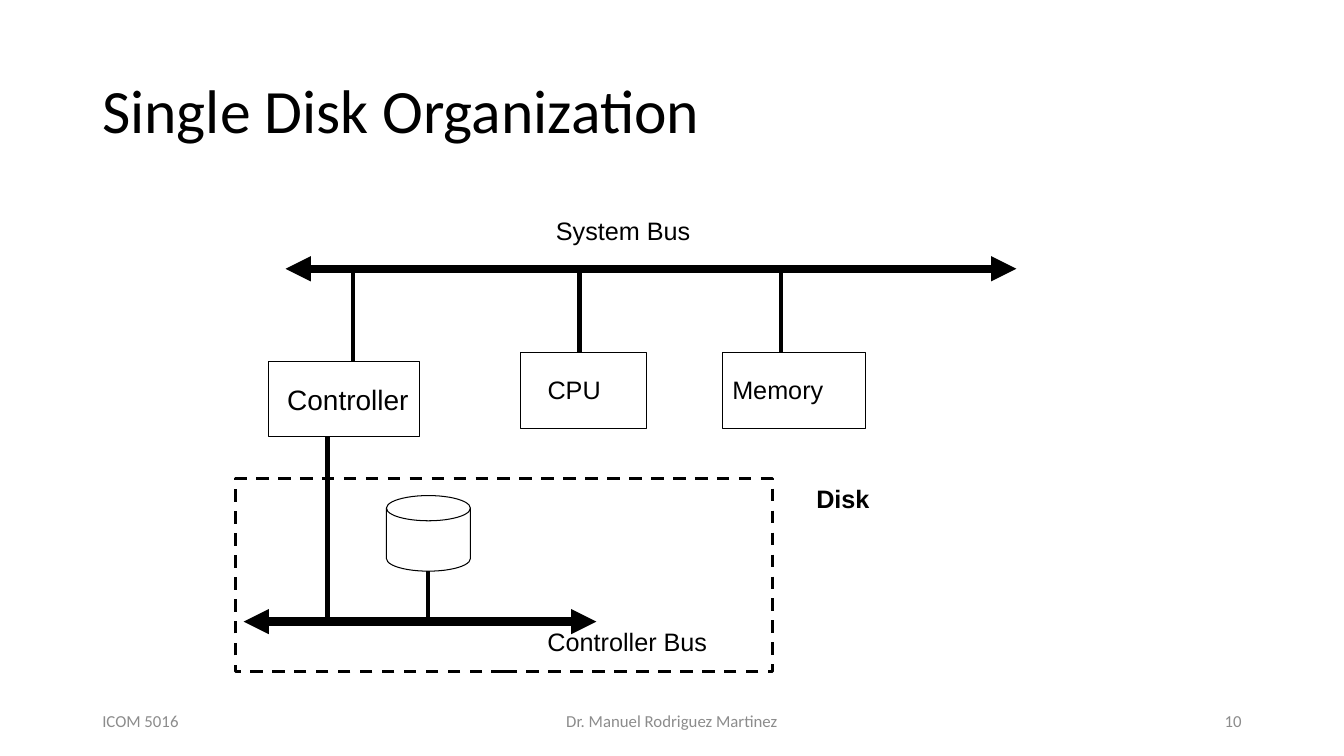
from dataclasses import dataclass

from lxml.etree import SubElement as add_element
from pptx import Presentation
from pptx.dml.color import RGBColor
from pptx.enum.dml import MSO_LINE
from pptx.enum.shapes import MSO_CONNECTOR, MSO_SHAPE
from pptx.enum.text import MSO_ANCHOR, MSO_AUTO_SIZE, PP_ALIGN
from pptx.oxml.ns import qn
from pptx.shapes.autoshape import Shape
from pptx.shapes.connector import Connector
from pptx.slide import Slide
from pptx.util import Emu, Inches, Pt

COLUMNS, ROWS = 160, 90
CELL = Inches(1) / 12
COLORS = {"ink": "000000", "paper": "FFFFFF", "footer": "8C8C8C"}


@dataclass(frozen=True)
class Box:
    column: float
    row: float
    columns: float
    rows: float
    preset: MSO_SHAPE = MSO_SHAPE.RECTANGLE
    line_width: float = 0.75
    dashed: bool = False


@dataclass(frozen=True)
class Wire:
    start: tuple[float, float]
    end: tuple[float, float]
    is_bus: bool = False


@dataclass(frozen=True)
class Label:
    text: str
    column: float
    row: float
    columns: float
    rows: float = 4.8
    size: float = 18
    font: str = "Arial"
    color: str = "ink"
    bold: bool = False
    align: PP_ALIGN = PP_ALIGN.LEFT
    framed: bool = False
    spacing: float = 1.0


SYSTEM_BUS_ROW, CONTROLLER_BUS_ROW = 32, 74
FOOTER_ROW = 83.4
FOOTER_STYLE = {"size": 12, "font": "Calibri", "color": "footer", "framed": True}

BOXES = [
    Box(46, 59, 10, 9, MSO_SHAPE.FLOWCHART_MAGNETIC_DISK),
    Box(32, 43, 18, 9),
    Box(62, 42, 15, 9),
    Box(86, 42, 17, 9),
    Box(28, 57, 64, 23, line_width=2.25, dashed=True),
]

WIRES = [
    Wire((34, SYSTEM_BUS_ROW), (121, SYSTEM_BUS_ROW), is_bus=True),
    Wire((29, CONTROLLER_BUS_ROW), (71, CONTROLLER_BUS_ROW), is_bus=True),
    Wire((42, 43), (42, SYSTEM_BUS_ROW)),
    Wire((69, 42), (69, SYSTEM_BUS_ROW)),
    Wire((93, 42), (93, SYSTEM_BUS_ROW)),
    Wire((39, 52), (39, CONTROLLER_BUS_ROW)),
    Wire((51, 68), (51, CONTROLLER_BUS_ROW)),
]

LABELS = [
    Label("Single Disk Organization", 11, 4.8, 138, 17.4, size=44,
          font="Calibri", framed=True, spacing=0.9),
    Label("System Bus", 65, 25, 18.6),
    Label("Controller", 33, 45, 16.9, 5.2, size=20),
    Label("CPU", 64, 44, 8.8),
    Label("Memory", 86, 44, 13.3),
    Label("Disk", 96, 57, 8.8, bold=True),
    Label("Controller Bus", 64, CONTROLLER_BUS_ROW, 21.6),
    Label("ICOM 5016", 11, FOOTER_ROW, 36, **FOOTER_STYLE),
    Label("Dr. Manuel Rodriguez Martinez", 53, FOOTER_ROW, 54,
          align=PP_ALIGN.CENTER, **FOOTER_STYLE),
    Label("10", 113, FOOTER_ROW, 36, align=PP_ALIGN.RIGHT, **FOOTER_STYLE),
]


def cells(count: float) -> Emu:
    return Emu(round(count * CELL))


def color(name: str) -> RGBColor:
    return RGBColor.from_string(COLORS[name])


def draw_box(slide: Slide, box: Box) -> Shape:
    shape = slide.shapes.add_shape(
        box.preset, cells(box.column), cells(box.row),
        cells(box.columns), cells(box.rows))
    shape.shadow.inherit = False
    shape.line.color.rgb = color("ink")
    shape.line.width = Pt(box.line_width)
    if box.dashed:
        shape.fill.background()
        shape.line.dash_style = MSO_LINE.DASH
    else:
        shape.fill.solid()
        shape.fill.fore_color.rgb = color("paper")
    return shape


def draw_wire(slide: Slide, wire: Wire) -> Connector:
    connector = slide.shapes.add_connector(
        MSO_CONNECTOR.STRAIGHT, *map(cells, wire.start + wire.end))
    connector.line.color.rgb = color("ink")
    connector.line.width = Pt(6 if wire.is_bus else 3)
    properties = connector._element.spPr
    if wire.is_bus:
        outline = properties.find(qn("a:ln"))
        for tag in ("a:headEnd", "a:tailEnd"):
            add_element(outline, qn(tag), type="triangle")
    add_element(properties, qn("a:effectLst"))
    return connector


def draw_label(slide: Slide, label: Label) -> Shape:
    shape = slide.shapes.add_textbox(
        cells(label.column), cells(label.row),
        cells(label.columns), cells(label.rows))
    frame = shape.text_frame
    frame.word_wrap = label.framed
    if label.framed:
        frame.vertical_anchor = MSO_ANCHOR.MIDDLE
    else:
        frame.auto_size = MSO_AUTO_SIZE.SHAPE_TO_FIT_TEXT
    paragraph = frame.paragraphs[0]
    paragraph.alignment = label.align
    paragraph.line_spacing = label.spacing
    run = paragraph.add_run()
    run.text = label.text
    run.font.name = label.font
    run.font.size = Pt(label.size)
    run.font.bold = label.bold
    run.font.color.rgb = color(label.color)
    return shape


def main() -> None:
    presentation = Presentation()
    presentation.slide_width = cells(COLUMNS)
    presentation.slide_height = cells(ROWS)
    slide = presentation.slides.add_slide(presentation.slide_layouts[6])
    for box in BOXES:
        draw_box(slide, box)
    for wire in WIRES:
        draw_wire(slide, wire)
    for label in LABELS:
        draw_label(slide, label)
    presentation.save("out.pptx")


if __name__ == "__main__":
    main()
